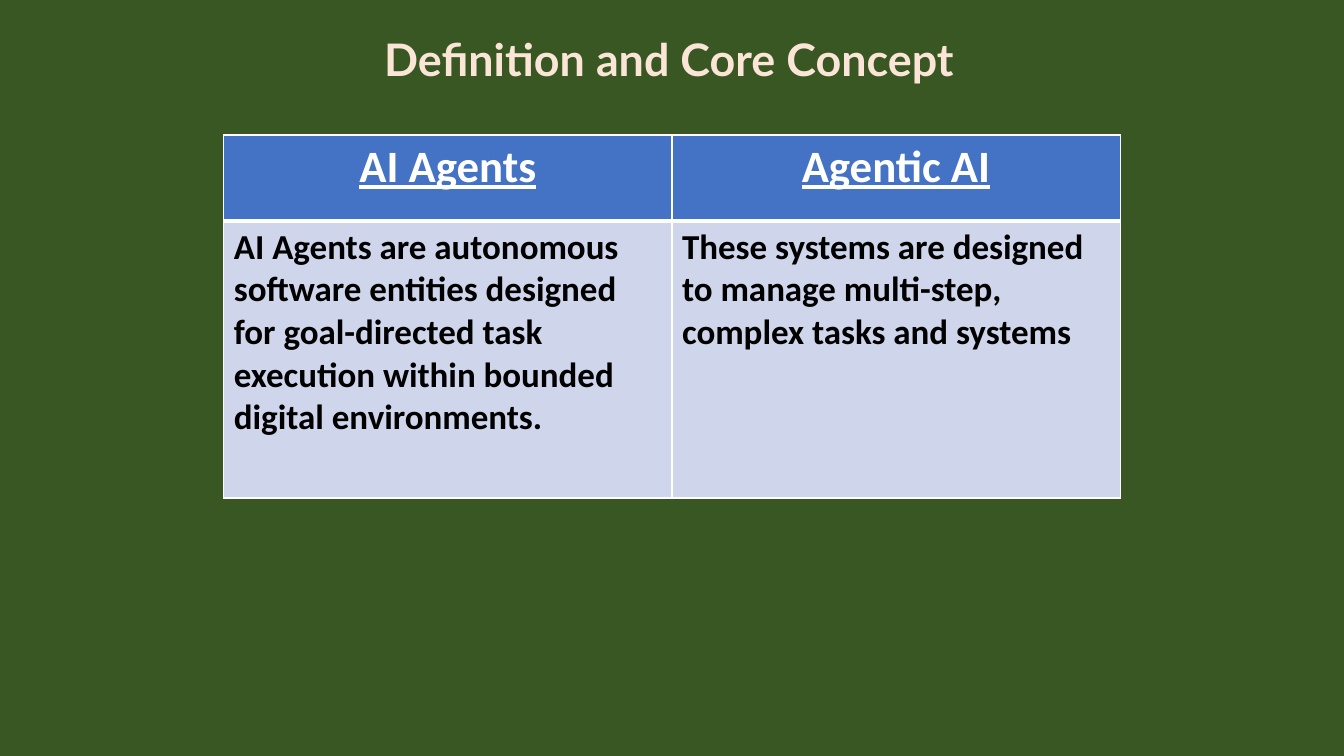
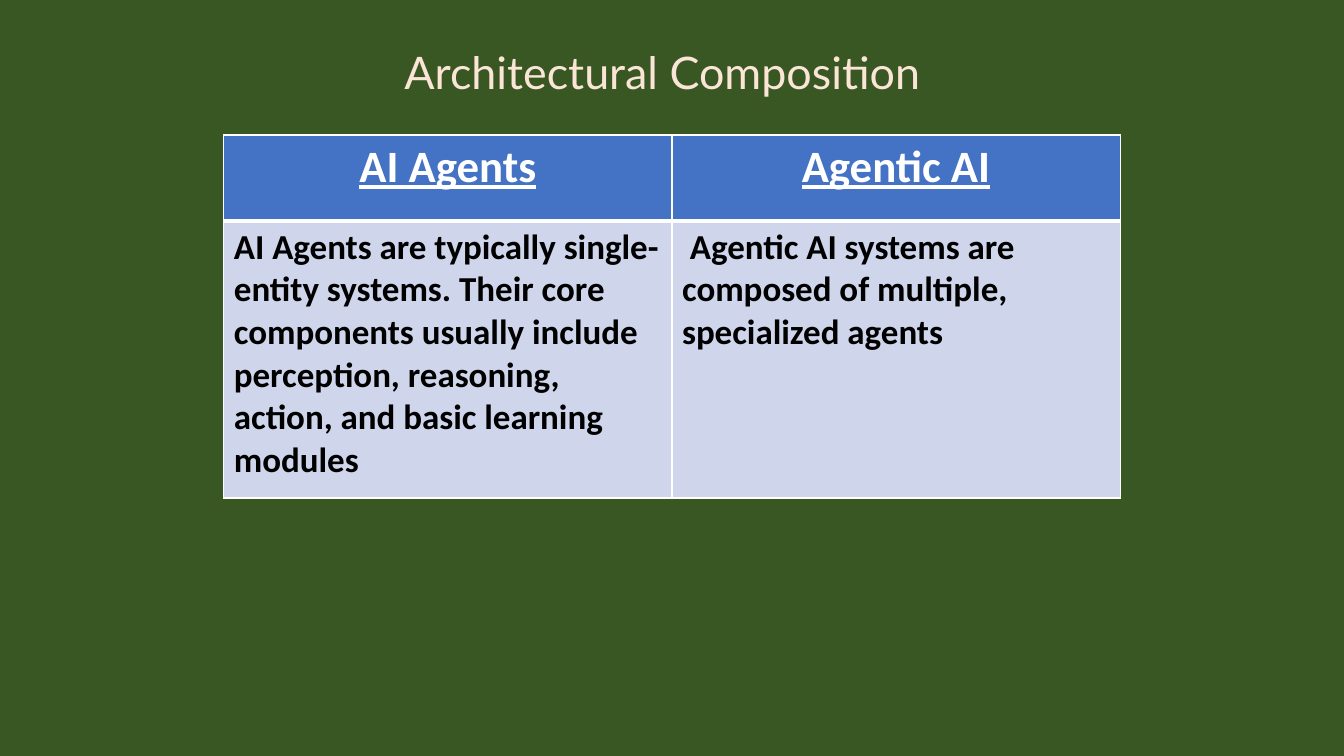
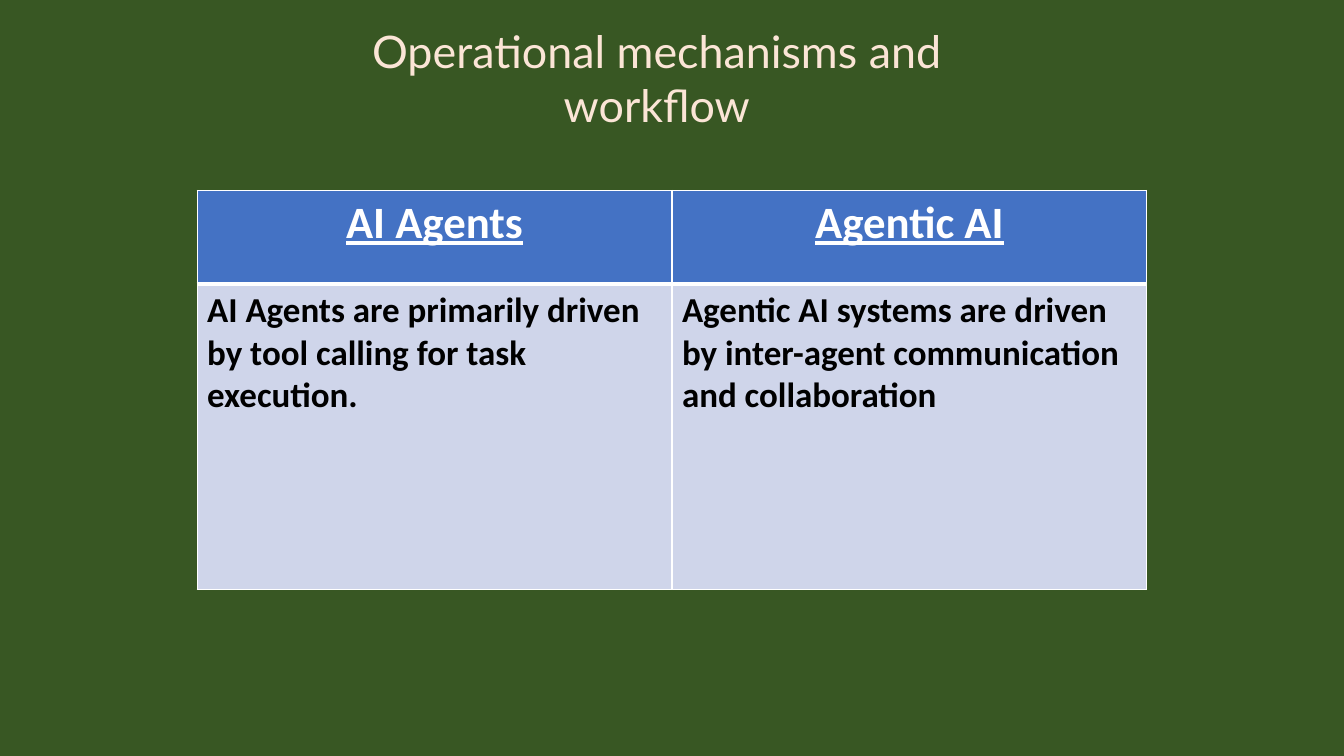
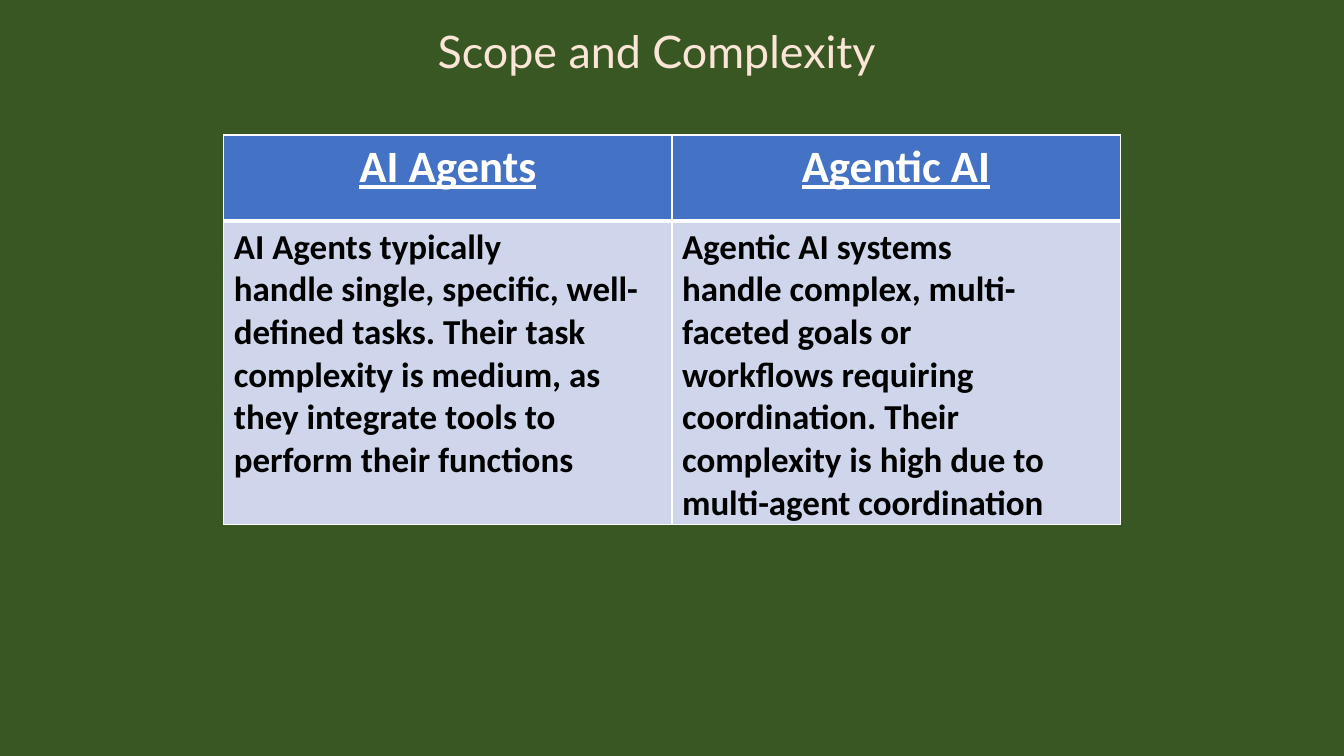
import pptx
import pptx.util
import pptx.dml.color
import pptx.enum.text
import pptx.oxml
import pptx.oxml.ns

Inches, Pt = pptx.util.Inches, pptx.util.Pt
ALIGN = pptx.enum.text.PP_ALIGN

# Shared look
GREEN, CREAM, WHITE, BLACK = "385723", "FBE5D6", "FFFFFF", "000000"
BLUE, PALE = "4472C4", "CFD5EA"
WIDE, TALL = 13.33, 7.5
HEADS = ("AI Agents", "Agentic AI")
LINE = 0.64  # height of a title of one line

# Content: "~" stands for a space that does not break
# title box: left, top, width, height; grid: top, width, row heights
PLAIN = (1.34, 8.89, (0.85, 2.75))
SLIDES = [
    dict(title="~Definition and Core Concept", bold=True,
         box=(2.99, 0.27, 7.18, LINE), grid=PLAIN,
         body=("AI Agents~are~autonomous software entities~designed for~goal-directed "
               "task execution within bounded digital environments.",
               "These systems are designed to manage multi-step, complex tasks "
               "and systems")),
    dict(title="Architectural Composition", bold=False,
         box=(3.26, 0.39, 6.62, LINE), grid=PLAIN,
         body=("AI Agents~are typically~single-entity systems. Their core components "
               "usually include perception, reasoning, action, and basic learning modules",
               "~Agentic AI~systems are composed of~multiple, specialized agents")),
    dict(title="Operational mechanisms and workflow", bold=False,
         box=(2.7, 0.19, 7.63, 1.18), grid=(1.89, 9.42, (0.93, 3.03)),
         body=("AI Agents~are primarily driven by~tool calling for task execution.",
               "Agentic AI~systems are driven by~inter-agent communication "
               "and collaboration")),
    dict(title="Scope and Complexity", bold=False,
         box=(2.7, 0.19, 7.63, LINE), grid=PLAIN,
         body=("AI Agents~typically handle~single, specific, well-defined tasks. Their "
               "task complexity is medium, as they integrate tools to perform their "
               "functions",
               "Agentic AI~systems handle~complex, multi-faceted goals or "
               "workflows~requiring coordination. Their complexity is high due to "
               "multi-agent coordination")),
]


def color(code):
    return pptx.dml.color.RGBColor.from_string(code)


def paint(fill, code):
    fill.solid()
    fill.fore_color.rgb = color(code)


def write(frame, text, size=25, font="Calibri", ink=BLACK, bold=True,
          under=False, align=ALIGN.LEFT):
    frame.word_wrap = True
    para = frame.paragraphs[0]
    para.alignment = align
    run = para.add_run()
    run.text = text.replace("~", chr(160))
    face = run.font
    face.name, face.size, face.bold, face.underline = font, Pt(size), bold, under
    face.color.rgb = color(ink)


def border(cell, **sides):
    """Draw white cell edges; widths in points."""
    props = cell._tc.get_or_add_tcPr()
    for side in "LRTB":
        props.append(pptx.oxml.parse_xml(
            f'<a:ln{side} {pptx.oxml.ns.nsdecls("a")} w="{Pt(sides.get(side, 1))}">'
            f'<a:solidFill><a:srgbClr val="{WHITE}"/></a:solidFill></a:ln{side}>'))


def add_title(slide, text, box, bold):
    frame = slide.shapes.add_textbox(*map(Inches, box)).text_frame
    write(frame, text, size=32, font="Lato", ink=CREAM, bold=bold, align=ALIGN.CENTER)
    frame.auto_size = pptx.enum.text.MSO_AUTO_SIZE.SHAPE_TO_FIT_TEXT


def add_grid(slide, body, top, width, rows):
    left = (WIDE - width) / 2
    table = slide.shapes.add_table(2, 2, Inches(left), Inches(top),
                                   Inches(width), Inches(sum(rows))).table
    for row, height in zip(table.rows, rows):
        row.height = Inches(height)
    for col, (head, text) in enumerate(zip(HEADS, body)):
        # Heading cell, with a thick rule below
        cell = table.cell(0, col)
        border(cell, B=3)
        paint(cell.fill, BLUE)
        write(cell.text_frame, head, size=32, ink=WHITE, under=True,
              align=ALIGN.CENTER)
        # Body cell
        cell = table.cell(1, col)
        border(cell, T=3)
        paint(cell.fill, PALE)
        write(cell.text_frame, text)


def main():
    deck = pptx.Presentation()
    deck.slide_width, deck.slide_height = Inches(WIDE), Inches(TALL)
    paint(deck.slide_master.background.fill, GREEN)
    for item in SLIDES:
        slide = deck.slides.add_slide(deck.slide_layouts[6])
        add_title(slide, item["title"], item["box"], item["bold"])
        add_grid(slide, item["body"], *item["grid"])
    deck.save("out.pptx")


if __name__ == "__main__":
    main()
